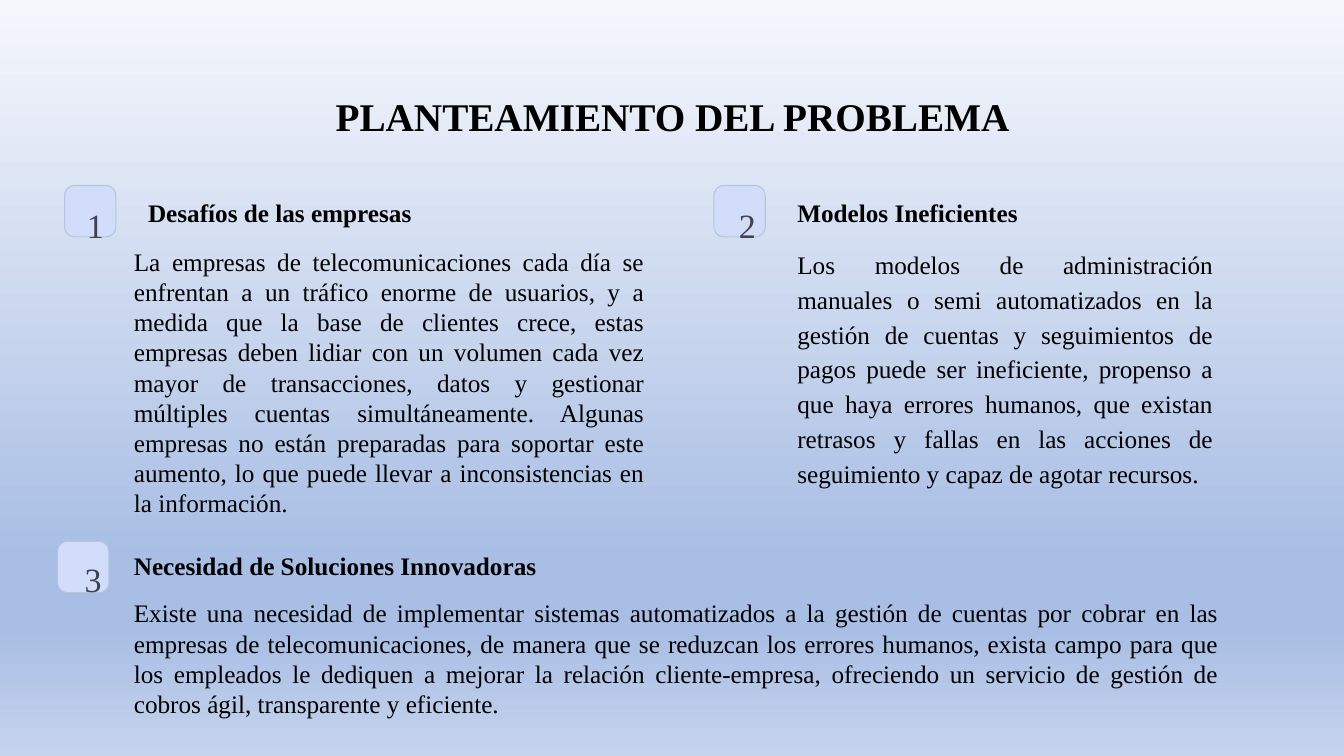
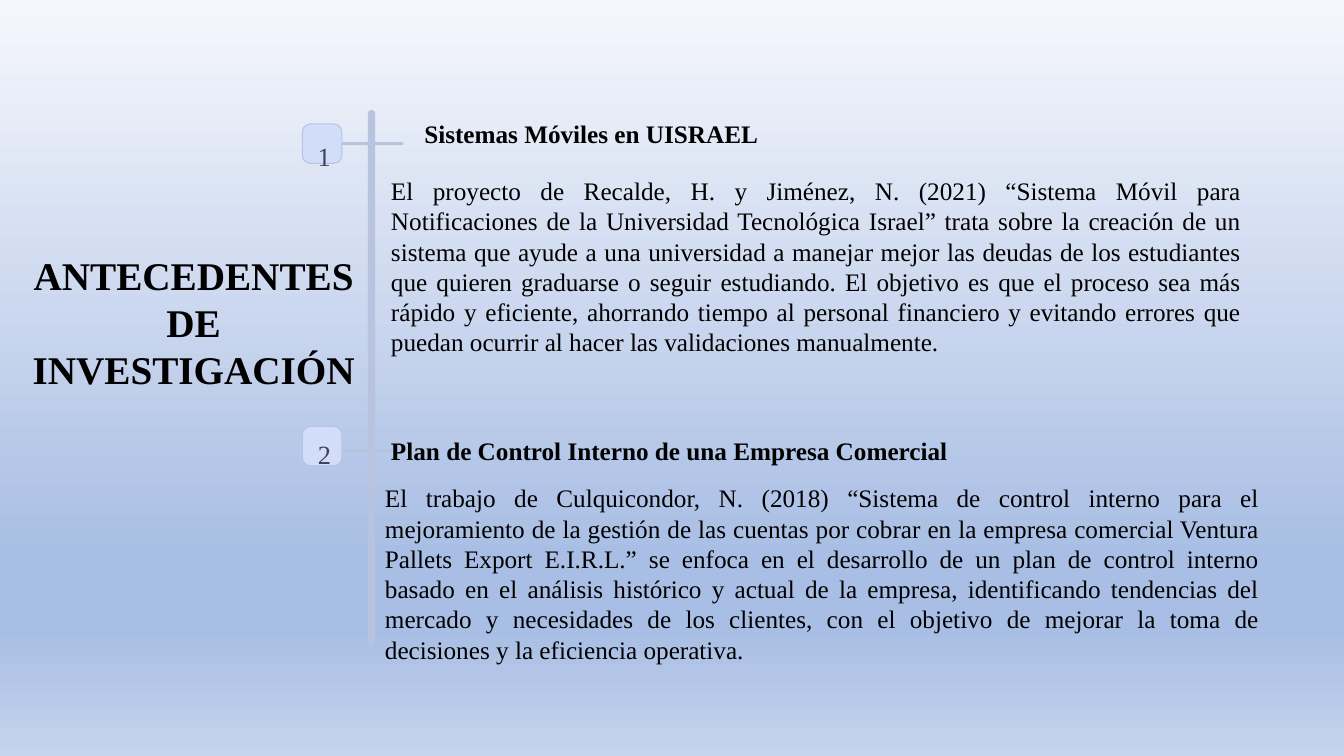
from lxml import etree
from pptx import Presentation
from pptx.dml.color import RGBColor
from pptx.enum.shapes import MSO_SHAPE
from pptx.enum.text import MSO_ANCHOR, MSO_AUTO_SIZE, PP_ALIGN
from pptx.oxml.ns import qn
from pptx.util import Inches, Pt

ROUNDED = MSO_SHAPE.ROUNDED_RECTANGLE
CENTER, JUSTIFY = PP_ALIGN.CENTER, PP_ALIGN.JUSTIFY
TOP = MSO_ANCHOR.TOP
FIT_SHAPE, NO_FIT = MSO_AUTO_SIZE.SHAPE_TO_FIT_TEXT, MSO_AUTO_SIZE.NONE
TITLE_ONLY = 5

COLORS = {
    "text": "000000",
    "number": "404155",
    "badge": "D2DDF9",
    "rail": "B8C3DF",
}
BACKGROUND_STOPS = [(0, "F5F7FC"), (74, "A9BEE4"), (83, "A9BEE4"), (100, "C5D3ED")]
FONT = "Times New Roman"
TITLE_FONT = {"name": FONT, "size": Pt(28), "bold": True}
HEADING_FONT = {"name": FONT, "size": Pt(18), "bold": True}
BODY_FONT = {"name": FONT, "size": Pt(18), "bold": False}

PROBLEMS = [
    {
        "badge": (0.64, 1.84), "number": (0.83, 1.88, 0.13, 0.42),
        "heading": ("Desafíos de las empresas", (1.37, 1.91, 4.15, 0.4)),
        "body": (
            "La empresas de telecomunicaciones cada día se enfrentan a un tráfico enorme de "
            "usuarios, y a medida que la base de clientes crece, estas empresas deben lidiar "
            "con un volumen cada vez mayor de transacciones, datos y gestionar múltiples "
            "cuentas simultáneamente. Algunas empresas no están preparadas para soportar este "
            "aumento, lo que puede llevar a inconsistencias en la información.",
            (1.23, 2.39, 5.26, 2.83)),
    },
    {
        "badge": (7.08, 1.84), "number": (7.23, 1.88, 0.2, 0.42),
        "heading": ("Modelos Ineficientes", (7.81, 1.91, 3.07, 0.4)),
        "body": (
            "Los modelos de administración manuales o semi automatizados en la gestión de "
            "cuentas y seguimientos de pagos puede ser ineficiente, propenso a que haya "
            "errores humanos, que existan retrasos y fallas en las acciones de seguimiento y "
            "capaz de agotar recursos.",
            (7.81, 2.38, 4.32, 2.51)),
        "spacing": 1.15,
    },
    {
        "badge": (0.57, 5.37), "number": (0.74, 5.39, 0.2, 0.42),
        "heading": ("Necesidad de Soluciones Innovadoras", (1.23, 5.41, 5.26, 0.4)),
        "body": (
            "Existe una necesidad de implementar sistemas automatizados a la gestión de "
            "cuentas por cobrar en las empresas de telecomunicaciones, de manera que se "
            "reduzcan los errores humanos, exista campo para que los empleados le dediquen a "
            "mejorar la relación cliente-empresa, ofreciendo un servicio de gestión de cobros "
            "ágil, transparente y eficiente.",
            (1.23, 5.88, 10.96, 1.31)),
    },
]

STUDIES = [
    {
        "tick": (3.39, 1.41, 0.61, 0.03),
        "badge": (3, 1.23), "number": (3.15, 1.26, 0.1, 0.33),
        "heading": ("Sistemas Móviles en UISRAEL", (4.11, 1.12, 3.66, 0.4)),
        "body": (
            "El proyecto de Recalde, H. y Jiménez, N. (2021) “Sistema Móvil para "
            "Notificaciones de la Universidad Tecnológica Israel” trata sobre la creación de "
            "un sistema que ayude a una universidad a manejar mejor las deudas de los "
            "estudiantes que quieren graduarse o seguir estudiando. El objetivo es que el "
            "proceso sea más rápido y eficiente, ahorrando tiempo al personal financiero y "
            "evitando errores que puedan ocurrir al hacer las validaciones manualmente.",
            (3.78, 1.69, 8.63, 1.92)),
    },
    {
        "tick": (3.27, 4.46, 0.61, 0.03),
        "badge": (3, 4.23), "number": (3.1, 4.22, 0.15, 0.33),
        "heading": ("Plan de Control Interno de una Empresa Comercial",
                    (3.78, 4.27, 5.84, 0.4)),
        "body": (
            "El trabajo de Culquicondor, N. (2018) “Sistema de control interno para el "
            "mejoramiento de la gestión de las cuentas por cobrar en la empresa comercial "
            "Ventura Pallets Export E.I.R.L.” se enfoca en el desarrollo de un plan de control "
            "interno basado en el análisis histórico y actual de la empresa, identificando "
            "tendencias del mercado y necesidades de los clientes, con el objetivo de mejorar "
            "la toma de decisiones y la eficiencia operativa.",
            (3.72, 4.74, 8.87, 1.92)),
    },
]


def inches(values):
    return [Inches(value) for value in values]


def color(name):
    return RGBColor.from_string(COLORS[name])


def set_background(master):
    """Give every page the vertical gradient through the slide master."""
    fill = master.background.fill
    fill.gradient()
    fill.gradient_angle = 270
    stops = master.element.find(".//" + qn("p:bgPr")).find(".//" + qn("a:gsLst"))
    for stop in list(stops):
        stops.remove(stop)
    for percent, value in BACKGROUND_STOPS:
        stop = etree.SubElement(stops, qn("a:gs"), pos=str(percent * 1000))
        etree.SubElement(stop, qn("a:srgbClr"), val=value)


def write(box, text, font, align, text_color="text", spacing=1.0, fit=FIT_SHAPE):
    frame = box.text_frame
    frame.word_wrap = True
    frame.auto_size = fit
    frame.vertical_anchor = TOP
    para = frame.paragraphs[0]
    para.alignment = align
    para.line_spacing = spacing
    span = para.add_run()
    span.text = text
    for name, value in font.items():
        setattr(span.font, name, value)
    span.font.color.rgb = color(text_color)


def add_page(deck, title, place):
    page = deck.slides.add_slide(deck.slide_layouts[TITLE_ONLY])
    box = page.shapes.title
    box.left, box.top, box.width, box.height = inches(place)
    write(box, title, TITLE_FONT, CENTER)
    return page


def add_text(page, text, place, font, align=JUSTIFY, **options):
    write(page.shapes.add_textbox(*inches(place)), text, font, align, **options)


def add_rounded(page, place, fill, corner, outline=None):
    shape = page.shapes.add_shape(ROUNDED, *inches(place))
    shape.adjustments[0] = corner
    shape.shadow.inherit = False
    shape.fill.solid()
    shape.fill.fore_color.rgb = color(fill)
    if outline:
        shape.line.color.rgb = color(outline)
        shape.line.width = Pt(0.75)
    else:
        shape.line.fill.background()


def add_bar(page, place):
    add_rounded(page, place, "rail", 0.5)


def add_topic(page, number, topic, badge_size, number_size):
    """Draw a numbered badge with its heading and paragraph."""
    if "tick" in topic:
        add_bar(page, topic["tick"])
    add_rounded(page, (*topic["badge"], badge_size, badge_size), "badge", 0.2, "rail")
    add_text(page, str(number), topic["number"], {"name": FONT, "size": Pt(number_size)},
             CENTER, text_color="number", spacing=1.25, fit=NO_FIT)
    add_text(page, *topic["heading"], HEADING_FONT)
    add_text(page, *topic["body"], BODY_FONT, spacing=topic.get("spacing", 1.0))


def add_topics(page, topics, badge_size, number_size):
    for number, topic in enumerate(topics, 1):
        add_topic(page, number, topic, badge_size, number_size)


def main():
    deck = Presentation()
    deck.slide_width, deck.slide_height = inches((13.33, 7.5))
    set_background(deck.slide_master)

    page = add_page(deck, "PLANTEAMIENTO DEL PROBLEMA", (2.9, 0.87, 7.54, 0.57))
    add_topics(page, PROBLEMS, badge_size=0.51, number_size=24.3)

    page = add_page(deck, "ANTECEDENTES DE INVESTIGACIÓN", (0.07, 2.44, 3.7, 1.51))
    add_bar(page, (3.65, 1.09, 0.07, 5.31))
    add_topics(page, STUDIES, badge_size=0.39, number_size=18.8)

    deck.save("out.pptx")


if __name__ == "__main__":
    main()
